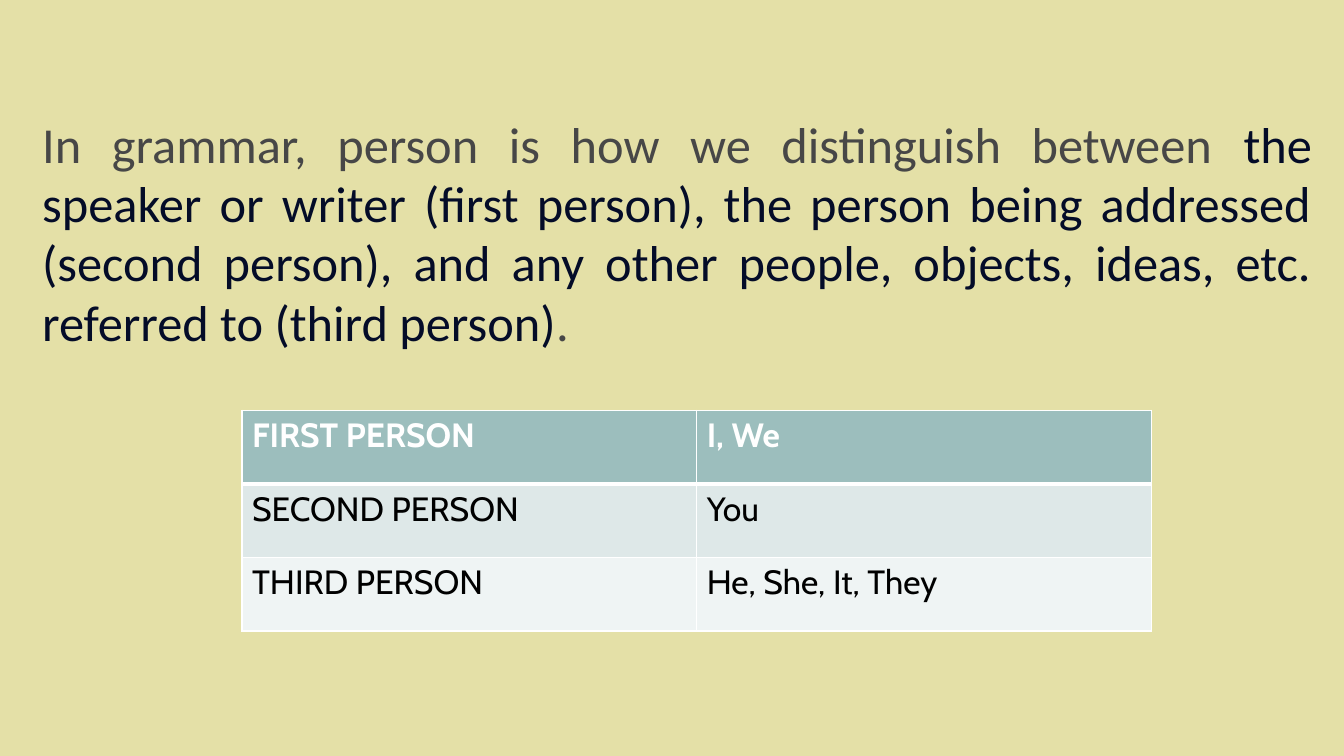
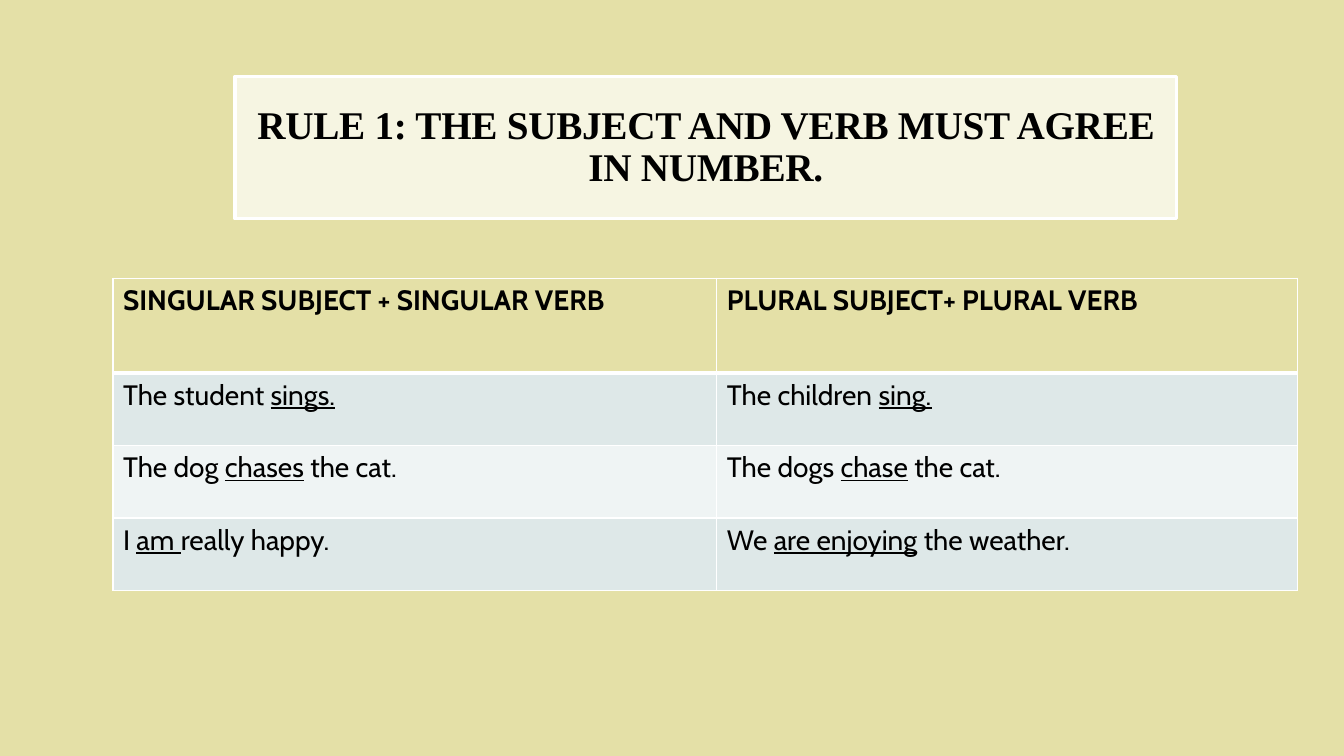
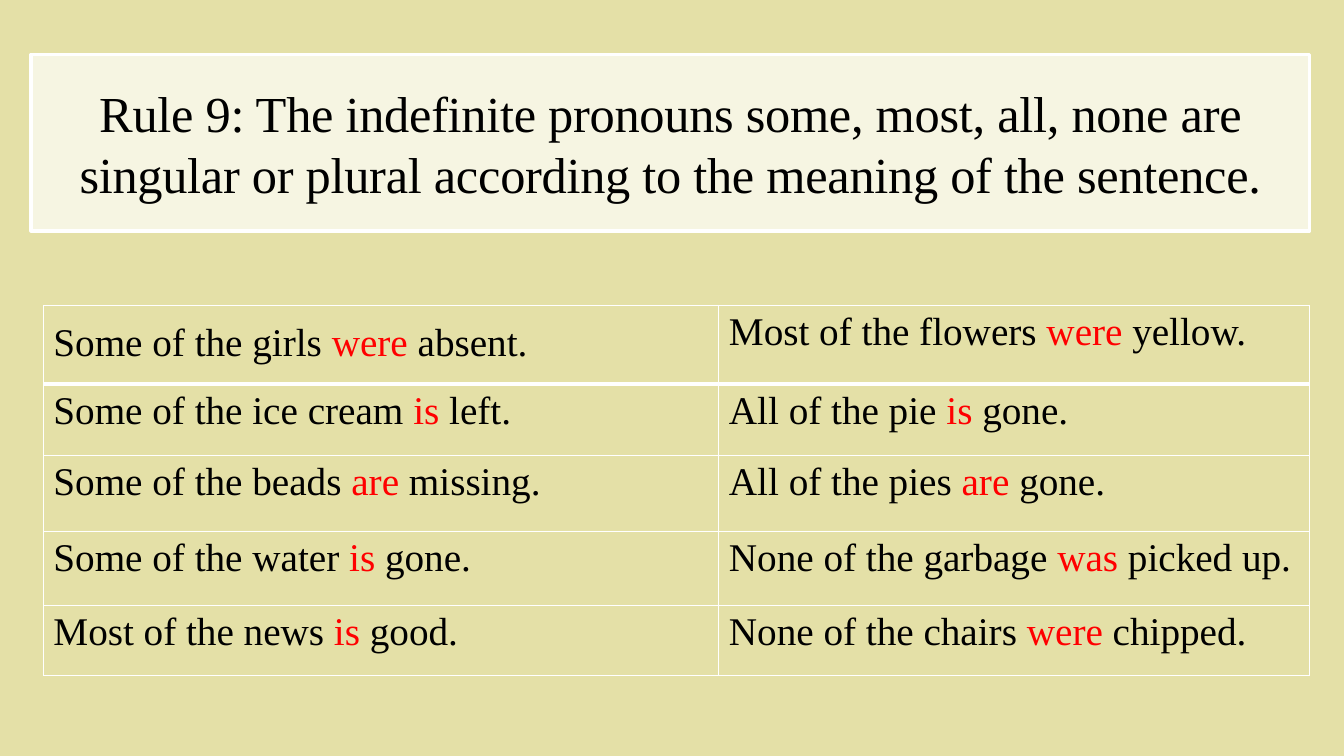
"""Build three grammar slides on person and subject-verb agreement."""
import dataclasses

import lxml.etree
import pptx
import pptx.dml.color
import pptx.enum.text
import pptx.oxml.ns
import pptx.util

Inches = pptx.util.Inches
Pt = pptx.util.Pt
ALIGN = pptx.enum.text.PP_ALIGN
qualified = pptx.oxml.ns.qn


@dataclasses.dataclass(frozen=True)
class Theme:
    background: str = "E4E0A7"
    panel: str = "F6F5E2"
    white: str = "FFFFFF"
    black: str = "000000"
    grey: str = "474747"
    navy: str = "040C28"
    red: str = "FF0000"
    teal: str = "9CBEBD"
    band_dark: str = "DEE8E8"
    band_light: str = "EFF4F4"
    sans: str = "Cabin"
    body: str = "Calibri"
    serif: str = "Times New Roman"
    large: int = 36
    medium: int = 28
    table_large: int = 24
    table_small: int = 20
    rule: int = 1
    header_rule: int = 3


theme = Theme()


def rgb(value):
    return pptx.dml.color.RGBColor.from_string(value)


def write_text(frame, text, *, font, size, color=theme.black, accent=None, underline=False,
               bold=False, align=ALIGN.LEFT, line_spacing=1.0, space_before=0, tracking=0):
    """Write one paragraph; the parts between bars take the accent format."""
    frame.word_wrap = True
    paragraph = frame.paragraphs[0]
    paragraph.alignment = align
    paragraph.line_spacing = line_spacing
    paragraph.space_before = Pt(space_before)
    for index, part in enumerate(text.split("|")):
        accented = index % 2 == 1
        run = paragraph.add_run()
        run.text = part
        run.font.name = font
        run.font.size = Pt(size)
        run.font.bold = bold
        run.font.underline = accented and underline
        run.font.color.rgb = rgb(accent if accented and accent else color)
        if tracking:
            run._r.get_or_add_rPr().set("spc", str(round(tracking * 100)))


presentation = pptx.Presentation()
presentation.slide_width = Inches(13.33)
presentation.slide_height = Inches(7.5)
background = presentation.slide_master.background.fill
background.solid()
background.fore_color.rgb = rgb(theme.background)
title_only, blank = presentation.slide_layouts[5], presentation.slide_layouts[6]

banded = [theme.band_dark, theme.band_light, theme.band_dark]
pages = [
    {
        "body": "In grammar, person is how we distinguish between |the speaker or writer (first person), "
                "the person being addressed (second person), and any other people, objects, ideas, "
                "etc. referred to (third person)|.",
        "table_at": (2.4, 4.07), "columns": [4.51, 4.51], "heights": [0.73] * 3,
        "fills": [theme.teal] + banded[:2],
        "rows": [("FIRST PERSON", "I, We"), ("SECOND PERSON", "You"),
                 ("THIRD PERSON", "He, She, It, They")],
        "format": {"font": theme.sans, "size": theme.table_large},
        "header": {"color": theme.white, "bold": True},
    },
    {
        "title": "RULE 1: THE SUBJECT AND VERB MUST AGREE IN NUMBER.",
        "title_at": (2.33, 0.76, 9.34, 1.41),
        "title_format": {"size": theme.medium, "bold": True, "line_spacing": 0.9},
        "table_at": (1.12, 2.76), "columns": [5.99, 5.76], "heights": [0.94] + [0.72] * 3,
        "fills": [None] + banded,
        "rows": [("SINGULAR SUBJECT + SINGULAR VERB", "PLURAL SUBJECT+ PLURAL VERB"),
                 ("The student |sings.|", "The children |sing.|"),
                 ("The dog |chases| the cat.", "The dogs |chase| the cat."),
                 ("I |am |really happy.", "We |are enjoying| the weather.")],
        "format": {"font": theme.sans, "size": theme.table_small, "underline": True,
                   "align": ALIGN.JUSTIFY},
        "header": {"bold": True},
    },
    {
        "title": "Rule 9: The indefinite pronouns some, most, all, none are singular or plural "
                 "according to the meaning of the sentence.",
        "title_at": (0.31, 0.54, 12.68, 1.75),
        "title_format": {"size": theme.large, "line_spacing": Pt(43.8), "space_before": 8.9},
        "table_at": (0.43, 3.03), "columns": [6.7, 5.86],
        "heights": [0.78, 0.71, 0.75, 0.74, 0.69],
        "fills": [theme.background] * 5,
        "rows": [("Some of the girls |were |absent.", "Most of the flowers |were |yellow."),
                 ("Some of the ice cream |is |left.", "All of the pie |is |gone."),
                 ("Some of the beads |are |missing.", "All of the pies |are |gone."),
                 ("Some of the water |is |gone.", "None of the garbage |was |picked up."),
                 ("Most of the news |is |good.", "None of the chairs |were |chipped.")],
        "format": {"font": theme.serif, "size": theme.medium, "accent": theme.red},
        "first_cell": {"line_spacing": 1.26, "space_before": 0.9},
    },
]

for page in pages:
    slide = presentation.slides.add_slide(title_only if "title" in page else blank)

    if "title" in page:
        title = slide.shapes.title
        title.left, title.top, title.width, title.height = map(Inches, page["title_at"])
        title.fill.solid()
        title.fill.fore_color.rgb = rgb(theme.panel)
        title.line.color.rgb = rgb(theme.white)
        title.line.width = Pt(2.5)
        frame = title.text_frame
        frame.auto_size = pptx.enum.text.MSO_AUTO_SIZE.NONE
        frame.vertical_anchor = pptx.enum.text.MSO_ANCHOR.MIDDLE
        frame.margin_left = frame.margin_right = Inches(0.2)
        frame.margin_top = frame.margin_bottom = Inches(0.2)
        write_text(frame, page["title"], font=theme.serif, align=ALIGN.CENTER, tracking=-0.2,
                   **page["title_format"])
    else:
        body = slide.shapes.add_textbox(Inches(0.32), Inches(0.33), Inches(12.79), Inches(6.96))
        body.text_frame.margin_top = Inches(0.82)
        write_text(body.text_frame, page["body"], font=theme.body, size=theme.large,
                   color=theme.grey, accent=theme.navy, align=ALIGN.JUSTIFY, line_spacing=0.98)

    left, top = page["table_at"]
    table = slide.shapes.add_table(
        len(page["rows"]), len(page["columns"]), Inches(left), Inches(top),
        Inches(sum(page["columns"])), Inches(sum(page["heights"]))).table
    table.first_row = table.horz_banding = False
    for column, width in zip(table.columns, page["columns"]):
        column.width = Inches(width)
    for row_index, (row, height) in enumerate(zip(table.rows, page["heights"])):
        row.height = Inches(height)
        for column_index, cell in enumerate(row.cells):
            cell_format = dict(page["format"])
            if row_index == 0:
                cell_format.update(page.get("header", {}))
                if column_index == 0:
                    cell_format.update(page.get("first_cell", {}))
            write_text(cell.text_frame, page["rows"][row_index][column_index], **cell_format)

            properties = cell._tc.get_or_add_tcPr()
            for side in "LRTB":
                beside_header = (row_index, side) in ((0, "B"), (1, "T"))
                width = theme.header_rule if beside_header else theme.rule
                border = lxml.etree.SubElement(properties, qualified(f"a:ln{side}"), w=str(Pt(width)))
                solid = lxml.etree.SubElement(border, qualified("a:solidFill"))
                lxml.etree.SubElement(solid, qualified("a:srgbClr"), val=theme.white)
            fill = page["fills"][row_index]
            if fill:
                cell.fill.solid()
                cell.fill.fore_color.rgb = rgb(fill)
            else:
                cell.fill.background()

presentation.save("out.pptx")
